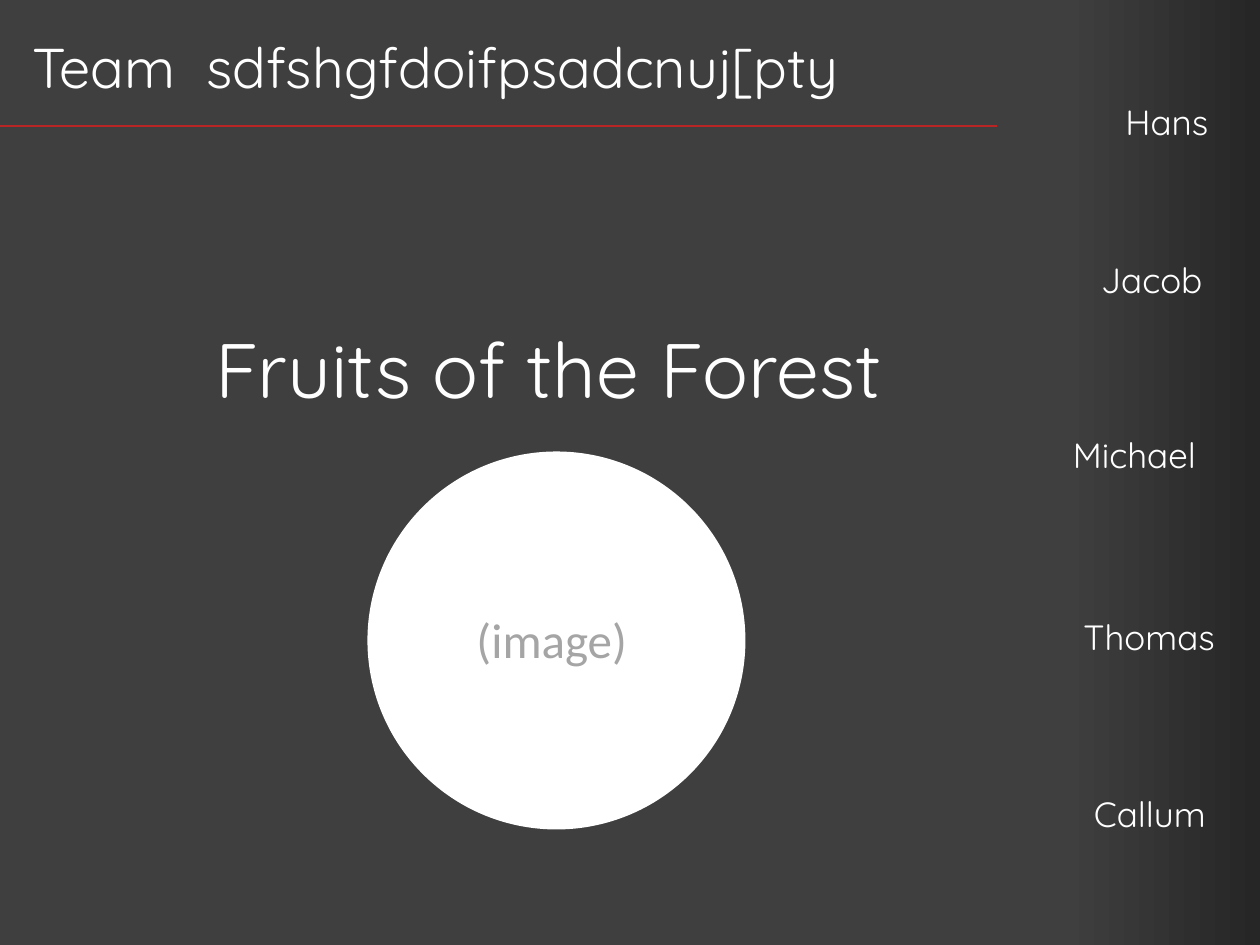
from copy import deepcopy
from pptx import Presentation
from pptx.dml.color import RGBColor
from pptx.enum.shapes import MSO_CONNECTOR, MSO_SHAPE
from pptx.oxml.ns import qn
from pptx.util import Inches, Pt
from lxml import etree

RECT, OVAL = MSO_SHAPE.RECTANGLE, MSO_SHAPE.OVAL
LINE = MSO_CONNECTOR.STRAIGHT
WIDE, HIGH = 10, 7.5
COLS, ROWS = 120, 90
FONT = "Quicksand"
HUES = {"dark": "3F3F3F", "deep": "262626", "white": "FFFFFF",
        "red": "B92525", "grey": "A5A5A5"}
NAMES = [("Hans", 8, 9, 11.6), ("Jacob", 5.7, 24, 14.2),
         ("Michael", 3, 40.7, 15.6), ("Thomas", 4, 58, 16),
         ("Callum", 5, 74.9, 14)]


def hue(name):
    return RGBColor.from_string(HUES[name])


def place(box, col, row, wide, high):
    left, top = box[:2]
    return (Inches((left + col) * WIDE / COLS), Inches((top + row) * HIGH / ROWS),
            Inches(wide * WIDE / COLS), Inches(high * HIGH / ROWS))


def shape(shapes, kind, spot, fill):
    item = shapes.add_shape(kind, *spot)
    item.shadow.inherit = False
    item.line.fill.background()
    item.fill.solid()
    item.fill.fore_color.rgb = hue(fill)
    return item


def label(shapes, text, spot, size, font=FONT, ink="white"):
    frame = shapes.add_textbox(*spot).text_frame
    frame.word_wrap = True
    para = frame.paragraphs[0]
    para.text = text
    para.font.size = Pt(size)
    para.font.name = font
    para.font.color.rgb = hue(ink)


def shade(item):
    item.fill.gradient()
    item.fill.gradient_angle = 0
    first = item.fill.gradient_stops[0]
    first.color.rgb = hue("dark")
    last = item.fill.gradient_stops[1]
    last.color.rgb = hue("deep")
    first.position, last.position = 0, 1
    stops = item.fill._fill._gradFill.find(qn("a:gsLst"))
    stops.insert(1, deepcopy(stops[0]))
    item.fill.gradient_stops[1].position = 0.15


def side(shapes, box):
    shade(shape(shapes, RECT, place(box, 0, 0, *box[2:]), "dark"))
    group = shapes.add_group_shape()
    for name, col, row, wide in NAMES:
        label(group.shapes, name, place(box, col, row, wide, 5.3), 20)


def header(shapes, box):
    label(shapes, "Team  sdfshgfdoifpsadcnuj[pty", place(box, 1.9, 2.5, 95, 7.7), 32)
    left, top, wide, high = place(box, 0, 0, *box[2:])
    rule = shapes.add_connector(LINE, left, top + high, left + wide, top + high)
    rule.line.color.rgb = hue("red")
    rule.line.width = Pt(0.75)
    etree.SubElement(rule._element.spPr, qn("a:effectLst"))


def body(shapes, box):
    label(shapes, "Fruits of the Forest", place(box, 19.3, 18, 66.6, 10.1), 44)
    shape(shapes, OVAL, place(box, 35, 31, 36, 36), "white")
    label(shapes, "(image)", place(box, 44.2, 45.5, 17, 6.8), 28, "Calibri", "grey")


def main():
    deck = Presentation()
    deck.slide_width, deck.slide_height = Inches(WIDE), Inches(HIGH)
    shapes = deck.slides.add_slide(deck.slide_layouts[6]).shapes
    shape(shapes, RECT, place((0, 0), 0, 0, 98, ROWS), "dark")
    side(shapes, (98, 0, 22, ROWS))
    header(shapes, (0, 0, 95, 12))
    body(shapes, (0, 12, 98, 78))
    deck.save("out.pptx")


if __name__ == "__main__":
    main()
